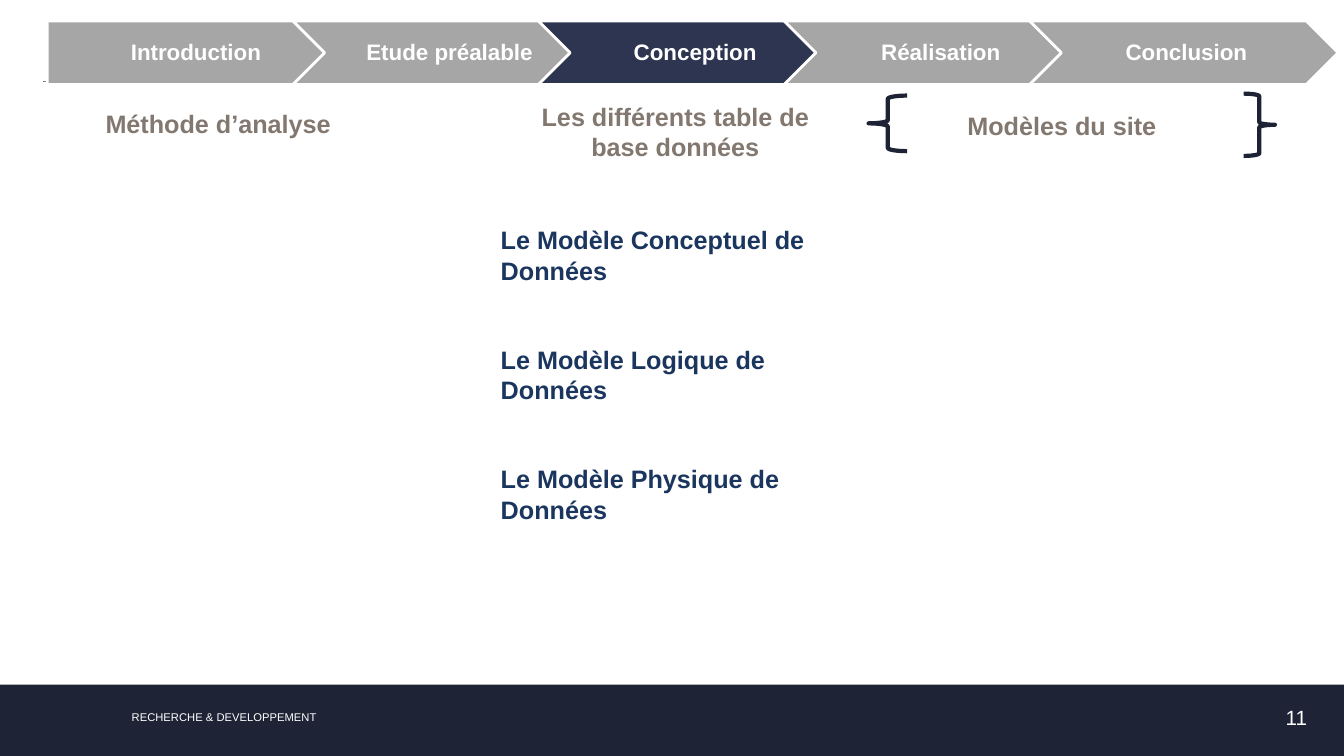
from lxml.etree import SubElement
from pptx import Presentation
from pptx.dml.color import RGBColor
from pptx.enum.shapes import MSO_CONNECTOR, MSO_SHAPE
from pptx.enum.text import MSO_ANCHOR, PP_ALIGN
from pptx.oxml.ns import qn
from pptx.util import Cm, Pt

WHITE = RGBColor(0xFF, 0xFF, 0xFF)
NIGHT = RGBColor(0x1E, 0x23, 0x36)
INK = RGBColor(0x1D, 0x22, 0x35)
NAVY = RGBColor(0x2D, 0x35, 0x51)
BLUE = RGBColor(0x1B, 0x36, 0x5E)
GREY = RGBColor(0xA6, 0xA6, 0xA6)
TAUPE = RGBColor(0x83, 0x78, 0x6F)

WIDTH, HEIGHT = 33.87, 19.05
LEFT, MID, RIGHT = PP_ALIGN.LEFT, PP_ALIGN.CENTER, PP_ALIGN.RIGHT

STEPS = ["Introduction", "Etude préalable", "Conception", "Réalisation", "Conclusion"]
ACTIVE = "Conception"
STEP_X, STEP_Y, STEP_W, STEP_H, STEP_GAP = 1.19, 0.53, 7.77, 1.6, 6.19

# text, left, top, width, height, alignment
TOPICS = [
    ("Méthode d’analyse", 2.41, 2.67, 7.72, 0.89, LEFT),
    ("Les différents table de base données", 13.16, 2.77, 7.72, 1.07, MID),
    ("Modèles du site", 24.13, 2.72, 7.72, 0.89, LEFT),
]
BRACES = [
    (MSO_SHAPE.LEFT_BRACE, 21.89, 2.41, 0.97, 1.4),
    (MSO_SHAPE.RIGHT_BRACE, 31.34, 2.36, 0.79, 1.57),
]
# text, box width
MODELS = [
    ("Le Modèle Conceptuel de Données", 9.73),
    ("Le Modèle Logique de Données", 8.81),
    ("Le Modèle Physique de Données", 9.07),
]
MODEL_X, MODEL_Y, MODEL_H, MODEL_GAP = 12.37, 5.54, 1.02, 3.01
BAR_Y = 17.25


def place(x, y, w, h):
    return Cm(x), Cm(y), Cm(w), Cm(h)


def write(frame, text, size, color, bold=True, align=LEFT, anchor=MSO_ANCHOR.MIDDLE):
    frame.word_wrap = True
    frame.vertical_anchor = anchor
    para = frame.paragraphs[0]
    para.alignment = align
    run = para.add_run()
    run.text = text
    font = run.font
    font.name, font.size, font.bold = "Arial", Pt(size), bold
    font.color.rgb = color
    return para


def draw(kind, box, fill=None, line=None, weight=0):
    shape = slide.shapes.add_shape(kind, *place(*box))
    shape.shadow.inherit = False
    if fill is None:
        shape.fill.background()
    else:
        shape.fill.solid()
        shape.fill.fore_color.rgb = fill
    if line is None:
        shape.line.fill.background()
    else:
        shape.line.color.rgb = line
        shape.line.width = Pt(weight)
    return shape


def label(box, *args, **style):
    frame = slide.shapes.add_textbox(*place(*box)).text_frame
    write(frame, *args, **style)


deck = Presentation()
deck.slide_width, deck.slide_height = Cm(WIDTH), Cm(HEIGHT)
slide = deck.slides.add_slide(deck.slide_layouts[6])

# Footer
draw(MSO_SHAPE.RECTANGLE, (0, BAR_Y, WIDTH, HEIGHT - BAR_Y), NIGHT)
label((3.07, 17.78, 8, 0.61), "RECHERCHE & DEVELOPPEMENT", 8, WHITE,
      bold=False, anchor=MSO_ANCHOR.TOP)
label((31.34, 17.53, 1.85, 1.07), "11", 14.7, WHITE, bold=False, align=RIGHT)

# Rule behind the steps
rule = slide.shapes.add_connector(
    MSO_CONNECTOR.STRAIGHT, Cm(1.09), Cm(2.06), Cm(32.94), Cm(2.06))
rule.line.color.rgb = TAUPE
rule.line.width = Pt(0.75)
SubElement(rule.element.spPr, qn("a:effectLst"))

# Steps
for i, name in enumerate(STEPS):
    kind = MSO_SHAPE.CHEVRON if i else MSO_SHAPE.PENTAGON
    box = (STEP_X + i * STEP_GAP, STEP_Y, STEP_W, STEP_H)
    step = draw(kind, box, NAVY if name == ACTIVE else GREY, WHITE, 2)
    frame = step.text_frame
    frame.margin_left, frame.margin_right = Cm(0.18), Cm(0.05)
    write(frame, name, 16, WHITE, align=MID).line_spacing = 0.9

# Topics of the current step
for text, x, y, w, h, align in TOPICS:
    label((x, y, w, h), text, 18, TAUPE, align=align)
for kind, *box in BRACES:
    draw(kind, box, line=INK, weight=3)

# Data models
for i, (text, w) in enumerate(MODELS):
    label((MODEL_X, MODEL_Y + i * MODEL_GAP, w, MODEL_H), text, 18, BLUE,
          anchor=MSO_ANCHOR.TOP)

deck.save("out.pptx")
